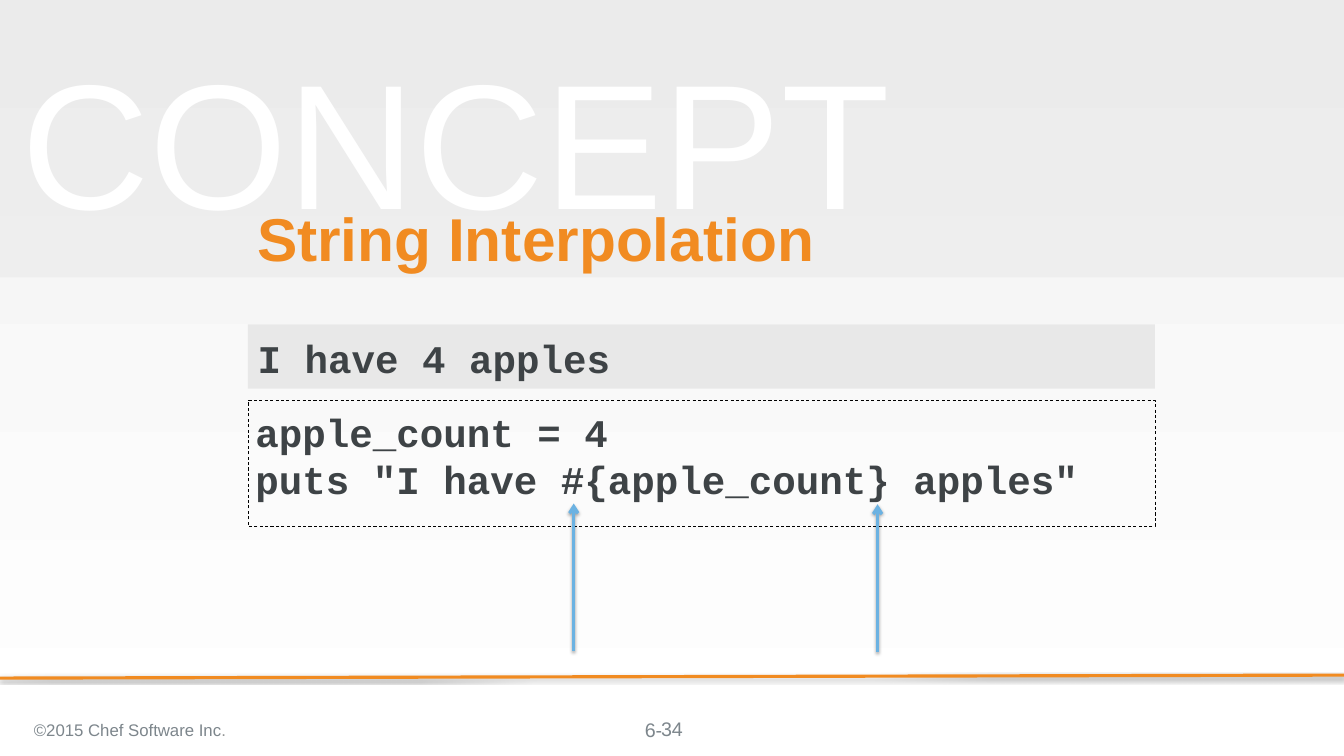
from dataclasses import dataclass

from lxml import etree
from pptx import Presentation
from pptx.dml.color import RGBColor
from pptx.enum import dml, shapes, text
from pptx.oxml import ns
from pptx.util import Inches, Pt


@dataclass(frozen=True)
class Theme:
    orange: str = "F18B21"
    blue: str = "6BB2E2"
    ink: str = "3E4346"
    muted: str = "7D868C"
    dot: str = "929494"
    panel: str = "D9D9D9"
    pale: str = "F2F2F2"
    white: str = "FFFFFF"
    black: str = "000000"
    sans: str = "Arial"
    mono: str = "Courier New"
    banner_size: float = 169.3
    title_size: float = 57.6
    code_size: float = 37.3
    number_size: float = 18.7
    footer_size: float = 16


T = Theme()
LEFT, MIDDLE, TOP = text.PP_ALIGN.LEFT, text.MSO_ANCHOR.MIDDLE, text.MSO_ANCHOR.TOP
CODE = {"size": Pt(T.code_size), "name": T.mono, "bold": True}
NUMBER = {"size": Pt(T.number_size), "name": T.sans}


def rgb(value):
    return RGBColor.from_string(value)


def add_xml(parent, tag, **attrs):
    return etree.SubElement(parent, ns.qn(tag), attrs)


def set_alpha(fill_parent, percent):
    """Make the solid colour directly under fill_parent partly transparent."""
    color = fill_parent.find(ns.qn("a:solidFill"))[0]
    add_xml(color, "a:alpha", val=str(percent * 1000))


def place(shape, box):
    for name, value in zip(("left", "top", "width", "height"), box):
        setattr(shape, name, Inches(value))


def write(shape, lines, font, color, insets=(0.1, 0.1, 0.1, 0.1), anchor=TOP,
          align=LEFT, spacing=1.0):
    """Fill a shape with one paragraph per line and return its paragraphs."""
    tf = shape.text_frame
    tf.text = "\n".join(lines)
    sides = ("margin_left", "margin_top", "margin_right", "margin_bottom")
    frame = {"word_wrap": True, "auto_size": text.MSO_AUTO_SIZE.NONE,
             "vertical_anchor": anchor}
    frame.update(zip(sides, map(Inches, insets)))
    for name, value in frame.items():
        setattr(tf, name, value)
    paragraph = {"alignment": align, "space_before": Pt(0), "line_spacing": spacing}
    for p in tf.paragraphs:
        for name, value in paragraph.items():
            setattr(p, name, value)
        for r in p.runs:
            style(r, font, color)
    return tf.paragraphs


def style(r, font, color):
    for name, value in font.items():
        setattr(r.font, name, value)
    r.font.color.rgb = rgb(color)


def add_text(s, box, line, font, color, **layout):
    sp = s.shapes.add_textbox(*map(Inches, box))
    return write(sp, [line], font, color, **layout)[0]


def add_panel(s, box, alpha):
    sp = s.shapes.add_shape(shapes.MSO_SHAPE.RECTANGLE, *map(Inches, box))
    sp.shadow.inherit = False
    sp.fill.solid()
    sp.fill.fore_color.rgb = rgb(T.panel)
    set_alpha(sp.element.spPr, alpha)
    sp.line.fill.background()
    return sp


def add_line(s, start, end, color, arrow=False):
    """Add a 3 pt line with a soft shadow below it."""
    line = s.shapes.add_connector(shapes.MSO_CONNECTOR.STRAIGHT,
                                  *map(Inches, start + end))
    line.line.color.rgb = rgb(color)
    line.line.width = Pt(3)
    spPr = line.element.spPr
    if arrow:
        add_xml(spPr.find(ns.qn("a:ln")), "a:tailEnd", type="arrow")
    shadow = add_xml(add_xml(spPr, "a:effectLst"), "a:outerShdw",
                     blurRad=str(Pt(3.1)), dist=str(Pt(1.8)), dir="5400000",
                     rotWithShape="0")
    add_xml(add_xml(shadow, "a:srgbClr", val=T.black), "a:alpha", val="35000")


def add_background(s):
    fill = s.background.fill
    fill.gradient()
    fill.gradient_angle = 270
    for stop, color, position in zip(fill.gradient_stops, (T.pale, T.white), (0, 1)):
        stop.color.rgb = rgb(color)
        stop.position = position


def add_banner(s):
    add_panel(s, (0, 0, 17.78, 3.67), 25)
    p = add_text(s, (0.15, 0.53, 12.64, 2.6), "CONCEPT",
                 {"size": Pt(T.banner_size), "name": T.sans}, T.pale,
                 insets=(0.13,) * 4, anchor=MIDDLE)
    rPr = p.runs[0].font.fill and p.runs[0]._r.get_or_add_rPr()
    set_alpha(rPr, 50)
    outline = etree.Element(ns.qn("a:ln"), w=str(Pt(1.45)))
    add_xml(add_xml(outline, "a:solidFill"), "a:srgbClr", val=T.white)
    rPr.insert(0, outline)


def bring_to_front(shape):
    shape.element.getparent().append(shape.element)


def add_title(s):
    title = s.shapes.title
    bring_to_front(title)
    place(title, (3.3, 2.73, 12, 0.93))
    write(title, ["String Interpolation"],
          {"size": Pt(T.title_size), "name": T.sans, "bold": True}, T.orange,
          anchor=MIDDLE, spacing=0.9)


def add_code(s):
    code = s.placeholders[1]
    bring_to_front(code)
    place(code, (3.28, 5.3, 12, 1.66))
    code.line.color.rgb = rgb(T.black)
    code.line.width = Pt(0.75)
    code.line.dash_style = dml.MSO_LINE.DASH
    write(code, ["apple_count = 4", 'puts "I have #{apple_count} apples"'],
          CODE, T.ink)


def add_output(s):
    panel = add_panel(s, (3.28, 4.29, 12, 0.85), 50)
    write(panel, ["I have 4 apples"], CODE, T.ink, insets=(0.13,) * 4)


def add_footer(s):
    add_text(s, (8.49, 9.49, 0.8, 0.31), "6-", NUMBER, T.muted,
             insets=(0.04, 0, 0, 0))
    footer = {"size": Pt(T.footer_size), "name": T.sans}
    insets = (0.1, 0.05, 0.1, 0.05)
    p = add_text(s, (0.35, 9.38, 6.21, 0.56), "©2015 Chef Software Inc", footer,
                 T.muted, insets=insets, anchor=MIDDLE)
    r = p.add_run()
    r.text = "."
    style(r, footer, T.dot)
    add_text(s, (6.89, 9.38, 4, 0.53), "34", NUMBER, T.muted, insets=insets,
             anchor=MIDDLE, align=text.PP_ALIGN.CENTER)


def main():
    prs = Presentation()
    prs.slide_width, prs.slide_height = Inches(17.78), Inches(10)
    s = prs.slides.add_slide(prs.slide_layouts[0])
    add_background(s)
    add_banner(s)
    add_line(s, (17.78, 8.93), (0, 8.97), T.orange)
    add_title(s)
    add_code(s)
    add_output(s)
    for x, bottom in ((7.59, 8.61), (11.61, 8.62)):
        add_line(s, (x, bottom), (x, bottom - 1.95), T.blue, arrow=True)
    add_footer(s)
    prs.save("out.pptx")


if __name__ == "__main__":
    main()
